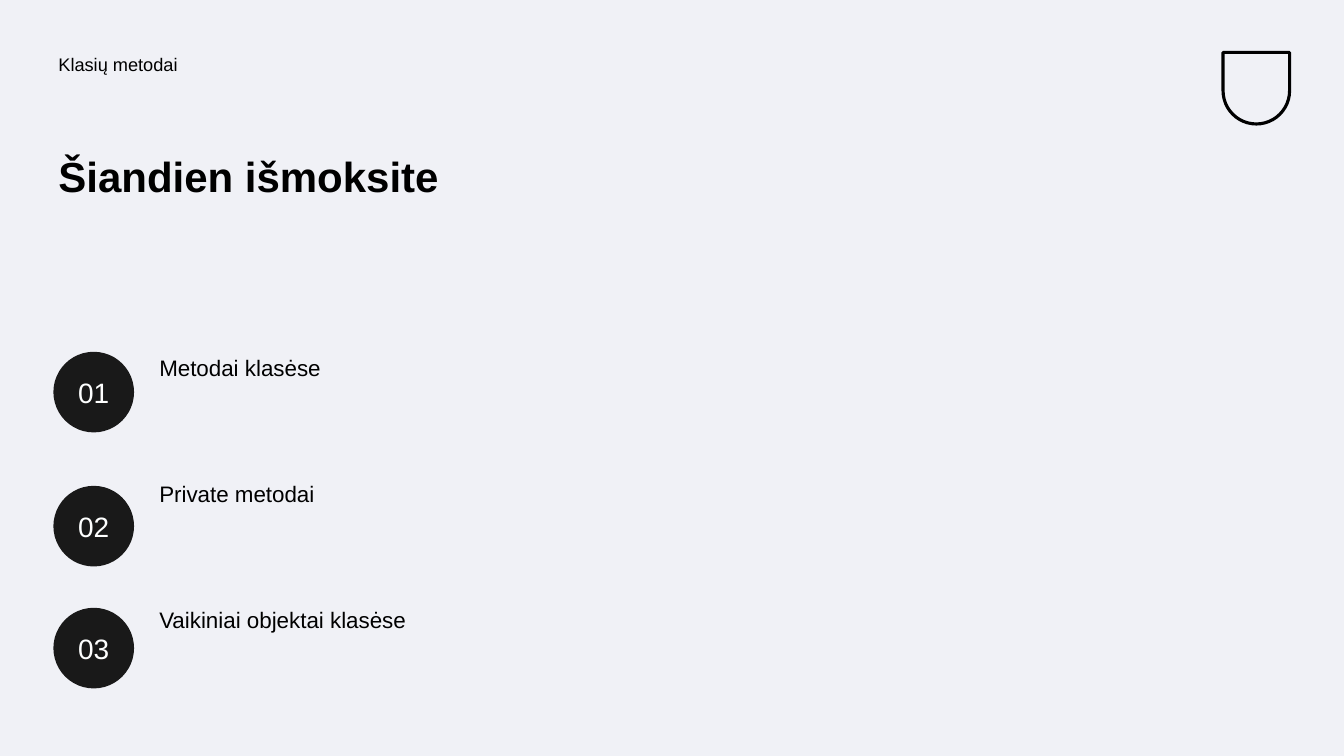
from pptx import Presentation
from pptx.dml.color import RGBColor
from pptx.enum.shapes import MSO_SHAPE
from pptx.enum.text import MSO_ANCHOR, MSO_AUTO_SIZE, PP_ALIGN
from pptx.util import Inches, Pt

CIRCLE = MSO_SHAPE.OVAL
SHIELD = MSO_SHAPE.ROUND_2_SAME_RECTANGLE
TOP, MIDDLE = MSO_ANCHOR.TOP, MSO_ANCHOR.MIDDLE
LEFT, CENTER = PP_ALIGN.LEFT, PP_ALIGN.CENTER
NO_AUTOFIT = MSO_AUTO_SIZE.NONE
TITLE_ONLY = 5


def color(hex_code):
    return RGBColor.from_string(hex_code)


class LessonSlide:
    font = "Arial"
    ink = "000000"
    paper = "F0F1F6"
    badge_fill = "191919"
    badge_ink = "FEFFFF"
    inset = Inches(0.05)

    def __init__(self, deck):
        self.slide = deck.slides.add_slide(deck.slide_layouts[TITLE_ONLY])
        background = self.slide.background.fill
        background.solid()
        background.fore_color.rgb = color(self.paper)

    def set_text(self, shape, text, size, ink, bold=False,
                 align=LEFT, anchor=TOP, spacing=0.9):
        frame = shape.text_frame
        frame.word_wrap = True
        frame.auto_size = NO_AUTOFIT
        frame.vertical_anchor = anchor
        frame.margin_left = frame.margin_right = self.inset
        frame.margin_top = frame.margin_bottom = self.inset
        paragraph = frame.paragraphs[0]
        paragraph.alignment = align
        paragraph.line_spacing = spacing
        run = paragraph.add_run()
        run.text = text
        run.font.name = self.font
        run.font.size = Pt(size)
        run.font.bold = bold
        run.font.color.rgb = color(ink)

    def title(self, text, left, top, width, height):
        heading = self.slide.shapes.title
        heading.left, heading.top = Inches(left), Inches(top)
        heading.width, heading.height = Inches(width), Inches(height)
        self.set_text(heading, text, 30, self.ink, bold=True)

    def text(self, text, size, left, top, width, height):
        box = self.slide.shapes.add_textbox(
            Inches(left), Inches(top), Inches(width), Inches(height))
        self.set_text(box, text, size, self.ink)

    def badge(self, number, left, top, diameter):
        circle = self.slide.shapes.add_shape(
            CIRCLE, Inches(left), Inches(top), Inches(diameter), Inches(diameter))
        circle.shadow.inherit = False
        circle.fill.solid()
        circle.fill.fore_color.rgb = color(self.badge_fill)
        circle.line.fill.background()
        self.set_text(circle, number, 20, self.badge_ink,
                      align=CENTER, anchor=MIDDLE, spacing=1.0)

    def emblem(self, left, top, width, height):
        shield = self.slide.shapes.add_shape(
            SHIELD, Inches(left), Inches(top), Inches(width), Inches(height))
        shield.rotation = 180
        shield.adjustments[0] = 0.5
        shield.shadow.inherit = False
        shield.fill.background()
        shield.line.color.rgb = color(self.ink)
        shield.line.width = Pt(2.25)


def main():
    deck = Presentation()
    deck.slide_width, deck.slide_height = Inches(13.33), Inches(7.5)
    lesson = LessonSlide(deck)

    lesson.emblem(12.13, 0.52, 0.66, 0.71)
    lesson.text("Klasių metodai", 13, 0.53, 0.5, 6.14, 0.5)
    lesson.title("Šiandien išmoksite", 0.53, 1.5, 5.64, 1.49)

    topics = [
        ("Metodai klasėse", 3.49),
        ("Private metodai", 4.82),
        ("Vaikiniai objektai klasėse", 6.03),
    ]
    for index, (topic, badge_top) in enumerate(topics):
        lesson.text(topic, 16, 1.53, 3.49 + 1.25 * index, 4.63, 0.99)
        lesson.badge(f"{index + 1:02d}", 0.53, badge_top, 0.8)

    deck.save("out.pptx")


if __name__ == "__main__":
    main()
